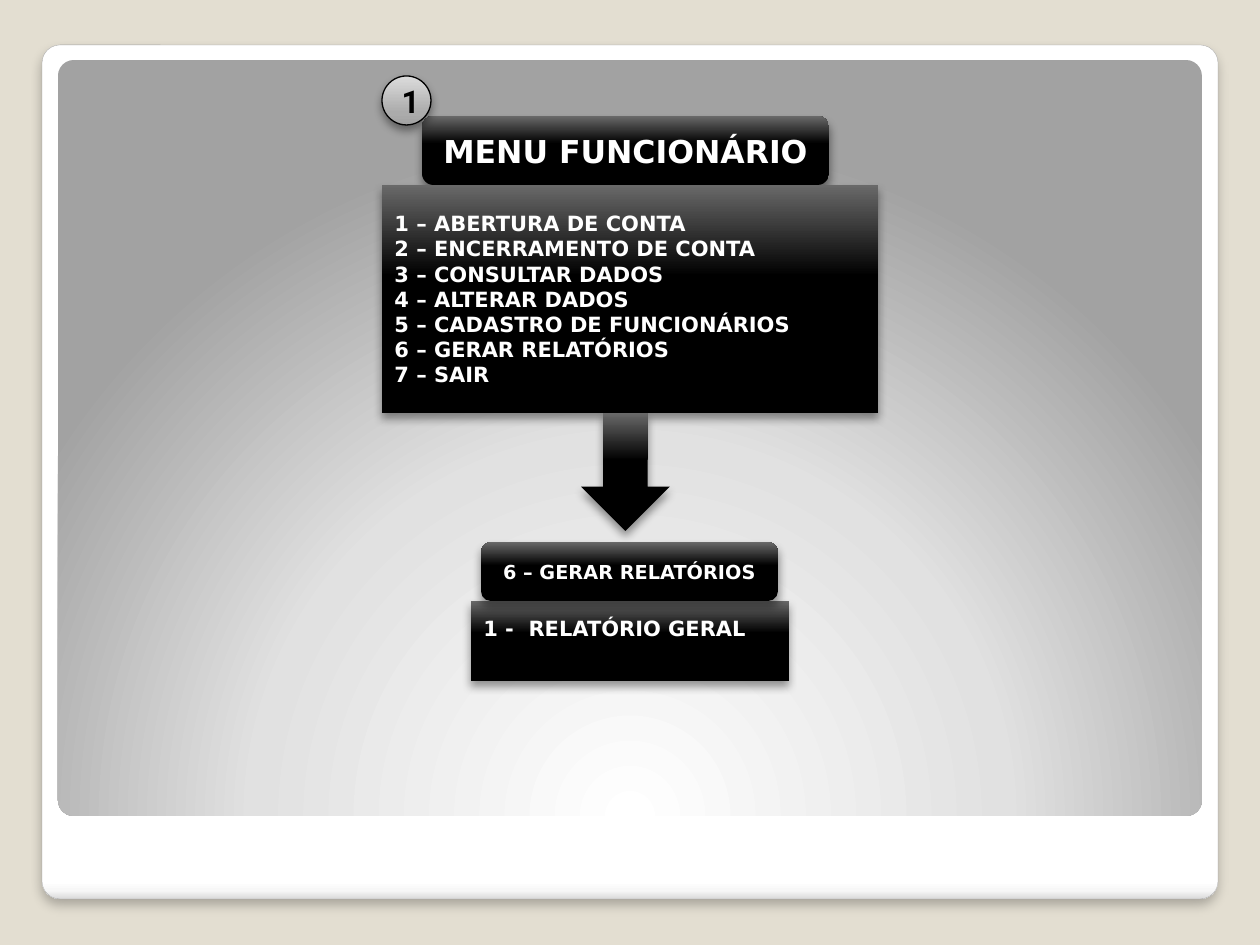
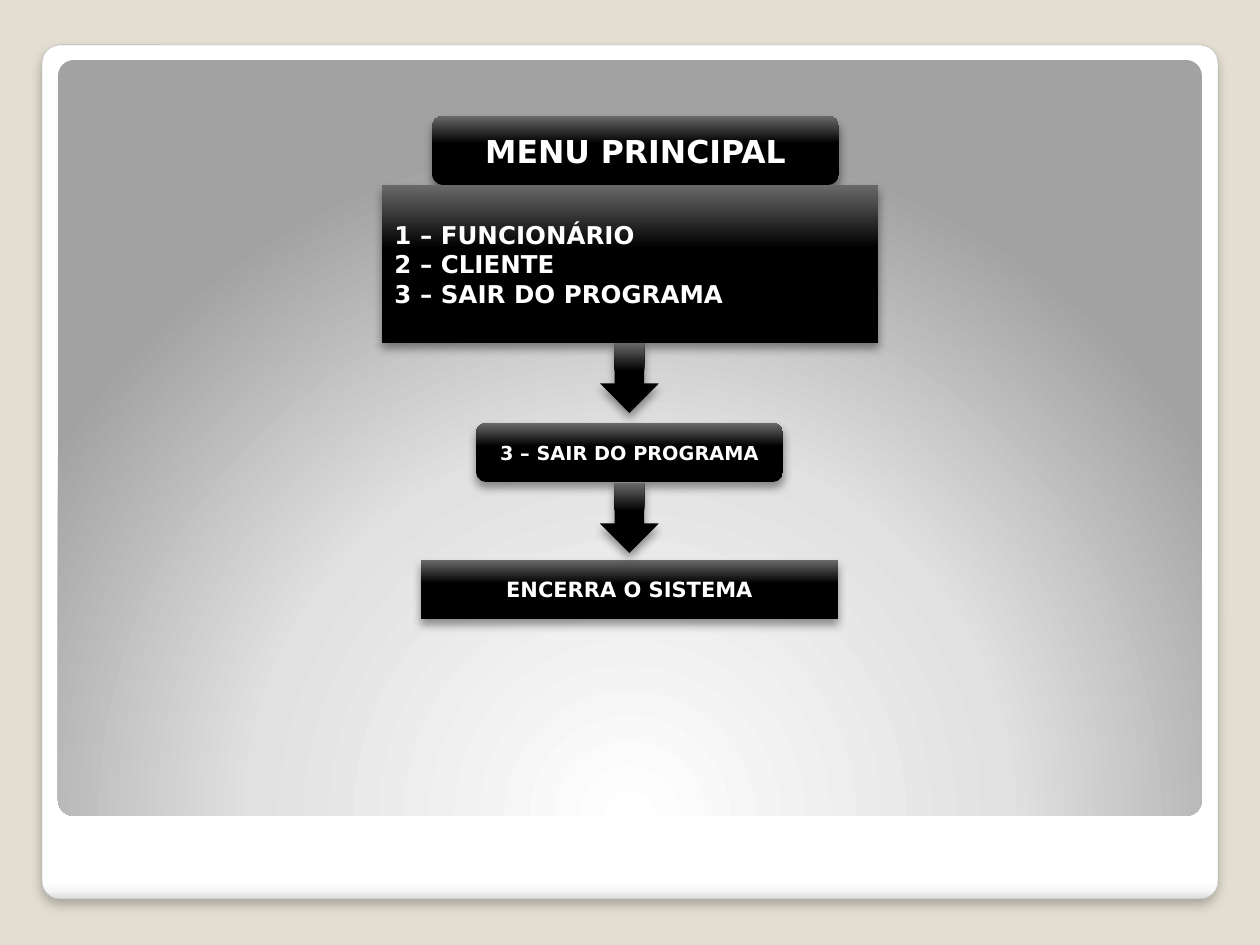
from lxml import etree
from pptx import Presentation
from pptx.dml.color import RGBColor
from pptx.enum.shapes import MSO_SHAPE as SHAPE
from pptx.enum.text import MSO_ANCHOR as ANCHOR, PP_ALIGN as ALIGN
from pptx.oxml.ns import nsdecls, qn
from pptx.util import Emu, Pt

PX = 914400 / 126

BEIGE = RGBColor(0xE3, 0xDE, 0xD1)
WHITE = RGBColor(0xFF, 0xFF, 0xFF)
BLACK = RGBColor(0x00, 0x00, 0x00)
EDGE = RGBColor(0xF7, 0xF7, 0xF7)
EDGE_DARK = RGBColor(0xDA, 0xDA, 0xDA)
FRAME_LINE = RGBColor(0xA4, 0xA4, 0xA4)
MIST = RGBColor(0xE1, 0xE1, 0xE1)
GREY = RGBColor(0xA2, 0xA2, 0xA2)
SILVER = RGBColor(0xAB, 0xAB, 0xAB)
PALE = RGBColor(0xDC, 0xDC, 0xDC)
SHEEN = RGBColor(0x69, 0x69, 0x69)

# Gradients: stops in percent, then the direction
DOWN = '<a:lin ang="5400000" scaled="0"/>'
UP = '<a:lin ang="16200000" scaled="0"/>'
GLOW = ('<a:path path="circle">'
        '<a:fillToRect l="50000" t="175000" r="50000" b="-75000"/></a:path>')
FRAME_FILL = ([(0, WHITE), (98, WHITE), (99, EDGE), (100, EDGE_DARK)], DOWN)
PANEL_FILL = ([(0, WHITE), (55, MIST), (100, GREY)], GLOW)
GLOSS_FILL = ([(0, BLACK), (60, BLACK), (100, SHEEN)], UP)
BADGE_FILL = ([(0, GREY), (25, SILVER), (100, PALE)], UP)

# Shadows: opacity in percent, blur and distance in points
FRAME_SHADOW = (25, 6, 4)
BOX_SHADOW = (40, 5.2, 3)


def add_block(slide, preset, box, gradient, shadow=None, line=None):
    """Add a gradient shape; box is in px, line is (colour, points)."""
    block = slide.shapes.add_shape(preset, *(Emu(round(n * PX)) for n in box))
    block.fill.background()
    if line:
        block.line.color.rgb, block.line.width = line[0], Pt(line[1])
    else:
        block.line.fill.background()
    stops, direction = gradient
    stops_xml = "".join(
        f'<a:gs pos="{pos * 1000}"><a:srgbClr val="{colour}"/></a:gs>'
        for pos, colour in stops)
    no_fill = block.element.spPr.find(qn("a:noFill"))
    no_fill.getparent().replace(no_fill, etree.fromstring(
        f'<a:gradFill {nsdecls("a")} rotWithShape="1">'
        f'<a:gsLst>{stops_xml}</a:gsLst>{direction}</a:gradFill>'))
    block.shadow.inherit = False
    if shadow:
        opacity, blur, distance = shadow
        block.element.spPr.find(qn("a:effectLst")).append(etree.fromstring(
            f'<a:outerShdw {nsdecls("a")} blurRad="{Pt(blur)}" '
            f'dist="{Pt(distance)}" dir="5400000" rotWithShape="0">'
            f'<a:srgbClr val="{BLACK}"><a:alpha val="{opacity * 1000}"/>'
            '</a:srgbClr></a:outerShdw>'))
    return block


def write(block, lines, size, align=ALIGN.CENTER, colour=WHITE,
          typeface="DejaVu Sans"):
    """Write one bold paragraph per line, centred vertically."""
    frame = block.text_frame
    frame.word_wrap = True
    frame.vertical_anchor = ANCHOR.MIDDLE
    font_format = {"name": typeface, "size": Pt(size), "bold": True}
    for index, line in enumerate(lines):
        paragraph = frame.add_paragraph() if index else frame.paragraphs[0]
        paragraph.alignment = align
        run = paragraph.add_run()
        run.text = line
        run.font.color.rgb = colour
        for name, value in font_format.items():
            setattr(run.font, name, value)


# Flow charts, from back to front: preset, box, lines, size, alignment
ROUND, RECT, ARROW = SHAPE.ROUNDED_RECTANGLE, SHAPE.RECTANGLE, SHAPE.DOWN_ARROW
MENU_FUNCIONARIO = [
    (ROUND, (422, 116, 407, 69), ["MENU FUNCIONÁRIO"], 18, ALIGN.CENTER),
    (RECT, (382, 185, 496, 228), [
        "1 – ABERTURA DE CONTA",
        "2 – ENCERRAMENTO DE CONTA",
        "3 – CONSULTAR DADOS",
        "4 – ALTERAR DADOS",
        "5 – CADASTRO DE FUNCIONÁRIOS",
        "6 – GERAR RELATÓRIOS",
        "7 – SAIR",
    ], 12, ALIGN.LEFT),
    (ARROW, (581, 413, 89, 118), [], 12, ALIGN.CENTER),
    (RECT, (471, 601, 318, 80), ["1 -  RELATÓRIO GERAL"], 12, ALIGN.LEFT),
    (ROUND, (481, 542, 297, 59), ["6 – GERAR RELATÓRIOS"], 11, ALIGN.CENTER),
]
MENU_PRINCIPAL = [
    (ROUND, (432, 116, 407, 69), ["MENU PRINCIPAL"], 18, ALIGN.CENTER),
    (RECT, (382, 185, 496, 158), [
        "1 – FUNCIONÁRIO",
        "2 – CLIENTE",
        "3 – SAIR DO PROGRAMA",
    ], 14, ALIGN.LEFT),
    (ARROW, (600, 343, 59, 70), [], 12, ALIGN.CENTER),
    (ROUND, (476, 423, 307, 59), ["3 – SAIR DO PROGRAMA"], 11, ALIGN.CENTER),
    (RECT, (421, 560, 417, 59), ["ENCERRA O SISTEMA"], 12, ALIGN.CENTER),
    (ARROW, (600, 483, 59, 70), [], 12, ALIGN.CENTER),
]

deck = Presentation()
deck.slide_width, deck.slide_height = Emu(round(1260 * PX)), Emu(round(945 * PX))

for steps in (MENU_FUNCIONARIO, MENU_PRINCIPAL):
    slide = deck.slides.add_slide(deck.slide_layouts[6])
    slide.background.fill.solid()
    slide.background.fill.fore_color.rgb = BEIGE

    # White frame and grey panel
    frame = add_block(slide, ROUND, (42, 45, 1176, 854), FRAME_FILL,
                      FRAME_SHADOW, (FRAME_LINE, 0.16))
    panel = add_block(slide, ROUND, (58, 60, 1144, 756), PANEL_FILL)
    for backdrop in (frame, panel):
        backdrop.adjustments[0] = 0.021

    # Menu boxes and arrows
    for preset, box, lines, size, align in steps:
        step = add_block(slide, preset, box, GLOSS_FILL, BOX_SHADOW)
        write(step, lines, size, align)
        if lines == ["1 -  RELATÓRIO GERAL"]:
            step.text_frame.margin_bottom = Emu(round(31 * PX))

    # Numbered badge of the employee menu
    if steps is MENU_FUNCIONARIO:
        badge = add_block(slide, SHAPE.OVAL, (382, 76, 49, 49), BADGE_FILL,
                          BOX_SHADOW, (BLACK, 0.75))
        write(badge, ["1"], 18, colour=BLACK, typeface="Roboto")

deck.save("out.pptx")
